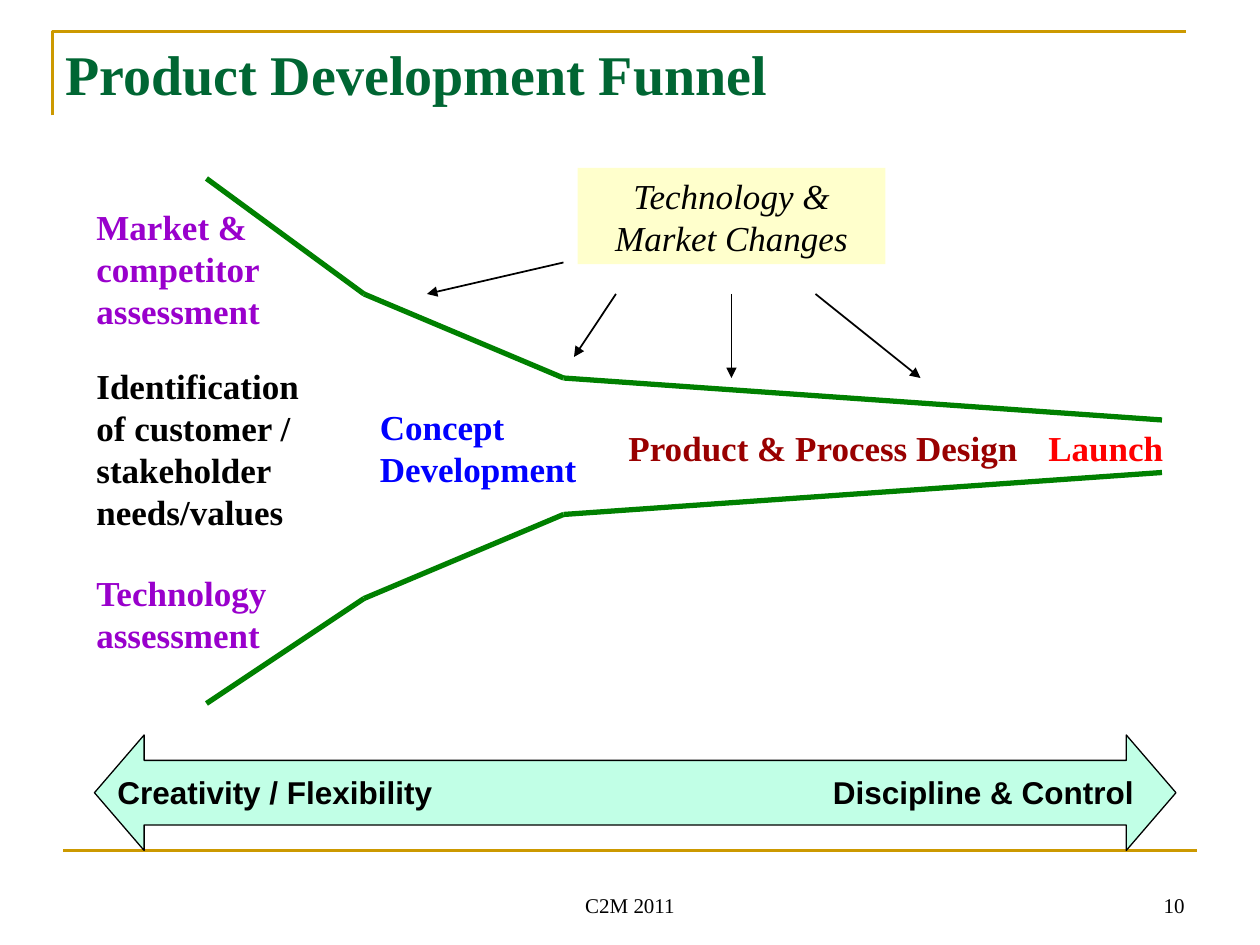
from itertools import pairwise

from pptx import Presentation
from pptx.dml.color import RGBColor
from pptx.enum.shapes import MSO_CONNECTOR, MSO_SHAPE
from pptx.enum.text import MSO_ANCHOR, MSO_AUTO_SIZE, PP_ALIGN
from pptx.oxml.ns import qn
from pptx.util import Pt
from lxml.etree import SubElement

COLORS = {
    "rule": "CC9900", "title": "006633", "funnel": "008000", "ink": "000000",
    "assessment": "9900CC", "concept": "0000FF", "design": "990000",
    "launch": "FF0000", "changes": "FFFFCC", "spectrum": "C1FFE6",
}
SERIF, SANS = "Times New Roman", "Arial"


def rgb(name):
    return RGBColor.from_string(COLORS[name])


def write(frame, lines, size, color="ink", font=SERIF, align=PP_ALIGN.LEFT,
          bold=False, italic=False):
    """Fill a text frame, one paragraph a line, with 120% leading."""
    frame.text = "\n".join(lines)
    for paragraph in frame.paragraphs:
        paragraph.alignment = align
        paragraph.line_spacing = Pt(size * 1.2)
        paragraph.font.name = font
        paragraph.font.size = Pt(size)
        paragraph.font.bold = bold
        paragraph.font.italic = italic
        paragraph.font.color.rgb = rgb(color)


def add_text(shapes, left, top, width, height, lines, size=20, wrap=False, **style):
    frame = shapes.add_textbox(Pt(left), Pt(top), Pt(width), Pt(height)).text_frame
    frame.word_wrap = wrap
    if not wrap:
        frame.auto_size = MSO_AUTO_SIZE.SHAPE_TO_FIT_TEXT
    write(frame, lines, size, **style)
    return frame


def add_line(shapes, start, end, color, width, arrow=False):
    line = shapes.add_connector(MSO_CONNECTOR.STRAIGHT, *map(Pt, (*start, *end)))
    line.line.color.rgb = rgb(color)
    line.line.width = Pt(width)
    properties = line._element.spPr
    if arrow:
        SubElement(properties.find(qn("a:ln")), qn("a:tailEnd"), type="triangle")
    SubElement(properties, qn("a:effectLst"))


def add_heading(slide, left, top, width, height):
    """Title under a corner rule."""
    builder = slide.shapes.build_freeform(Pt(left), Pt(top + 48))
    builder.add_line_segments([(Pt(left), Pt(top)), (Pt(left + 648), Pt(top))], close=False)
    corner = builder.convert_to_shape()
    corner.fill.background()
    corner.line.color.rgb = rgb("rule")
    corner.line.width = Pt(1.5)
    corner.shadow.inherit = False

    title = slide.shapes.title
    title.left, title.top, title.width, title.height = map(Pt, (left, top, width, height))
    frame = title.text_frame
    frame.vertical_anchor = MSO_ANCHOR.TOP
    frame.margin_top = Pt(4.5)
    write(frame, ["Product Development Funnel"], 32, "title", bold=True)


def add_footer(slide, left, top, width):
    add_line(slide.shapes, (left, top), (left + width, top), "rule", 1.5)
    for offset, box_width, text, align in (
        (210, 228, "C2M 2011", PP_ALIGN.CENTER),
        (480, 168, "10", PP_ALIGN.RIGHT),
    ):
        frame = add_text(slide.shapes, left + offset, top + 6, box_width, 36, [text], 12,
                         wrap=True, align=align)
        frame.vertical_anchor = MSO_ANCHOR.BOTTOM


def add_funnel(slide, left, top):
    """Two narrowing walls and the stages that run between them."""
    walls = slide.shapes.add_group_shape().shapes
    for wall in (
        [(0, 0), (90, 66), (204, 114), (546, 138)],
        [(0, 300), (90, 240), (204, 192), (546, 168)],
    ):
        corners = [(left + x, top + y) for x, y in wall]
        for start, end in pairwise(corners):
            add_line(walls, start, end, "funnel", 3)

    inputs = (
        (12, 79, 112, ["Market &", "competitor", "assessment"], "assessment"),
        (103, 103, 135, ["Identification", "of customer /", "stakeholder", "needs/values"], "ink"),
        (221, 55, 113, ["Technology", "assessment"], "assessment"),
    )
    for y, height, width, lines, color in inputs:
        add_text(slide.shapes, left - 70, top + y, width, height, lines, color=color, bold=True)

    stages = slide.shapes.add_group_shape().shapes
    for x, y, width, height, lines, color in (
        (92, 126, 127, 55, ["Concept", "Development"], "concept"),
        (234, 138, 237, 31, ["Product & Process Design"], "design"),
        (474, 138, 80, 31, ["Launch"], "launch"),
    ):
        add_text(stages, left + x, top + y, width, height, lines, color=color, bold=True)


def add_changes(slide, left, top, width, height):
    """Outside influences pointing into the funnel."""
    note = slide.shapes.add_shape(MSO_SHAPE.RECTANGLE, *map(Pt, (left, top, width, height)))
    note.shadow.inherit = False
    note.fill.solid()
    note.fill.fore_color.rgb = rgb("changes")
    note.line.fill.background()
    note.text_frame.word_wrap = True
    note.text_frame.vertical_anchor = MSO_ANCHOR.TOP
    write(note.text_frame, ["Technology & Market Changes"], 20,
          align=PP_ALIGN.CENTER, italic=True)
    for (x1, y1), (x2, y2) in (
        ((-8, 54), (-86, 72)),
        ((22, 72), (-2, 108)),
        ((88, 72), (88, 120)),
        ((136, 72), (196, 120)),
    ):
        add_line(slide.shapes, (left + x1, top + y1), (left + x2, top + y2), "ink", 1, arrow=True)


def add_spectrum(slide, left, top, width, height):
    """Double arrow from creativity to control."""
    shapes = slide.shapes.add_group_shape().shapes
    arrow = shapes.add_shape(MSO_SHAPE.LEFT_RIGHT_ARROW, *map(Pt, (left, top, width, height)))
    arrow.adjustments[0] = 0.56
    arrow.adjustments[1] = 0.43
    arrow.shadow.inherit = False
    arrow.fill.solid()
    arrow.fill.fore_color.rgb = rgb("spectrum")
    arrow.line.color.rgb = rgb("ink")
    arrow.line.width = Pt(0.75)
    add_text(shapes, left + 6, top + 18, 197, 29, ["Creativity / Flexibility"], 18,
             font=SANS, bold=True)
    add_text(shapes, left + width - 204, top + 18, 187, 29, ["Discipline & Control"], 18,
             font=SANS, bold=True, align=PP_ALIGN.RIGHT)


def main():
    deck = Presentation()
    deck.slide_width, deck.slide_height = Pt(720), Pt(540)
    slide = deck.slides.add_slide(deck.slide_layouts[5])
    add_heading(slide, 30, 18, 600, 60)
    add_footer(slide, 36, 486, 648)
    add_funnel(slide, 118, 102)
    add_changes(slide, 330, 96, 176, 55)
    add_spectrum(slide, 54, 420, 618, 66)
    deck.save("out.pptx")


if __name__ == "__main__":
    main()
